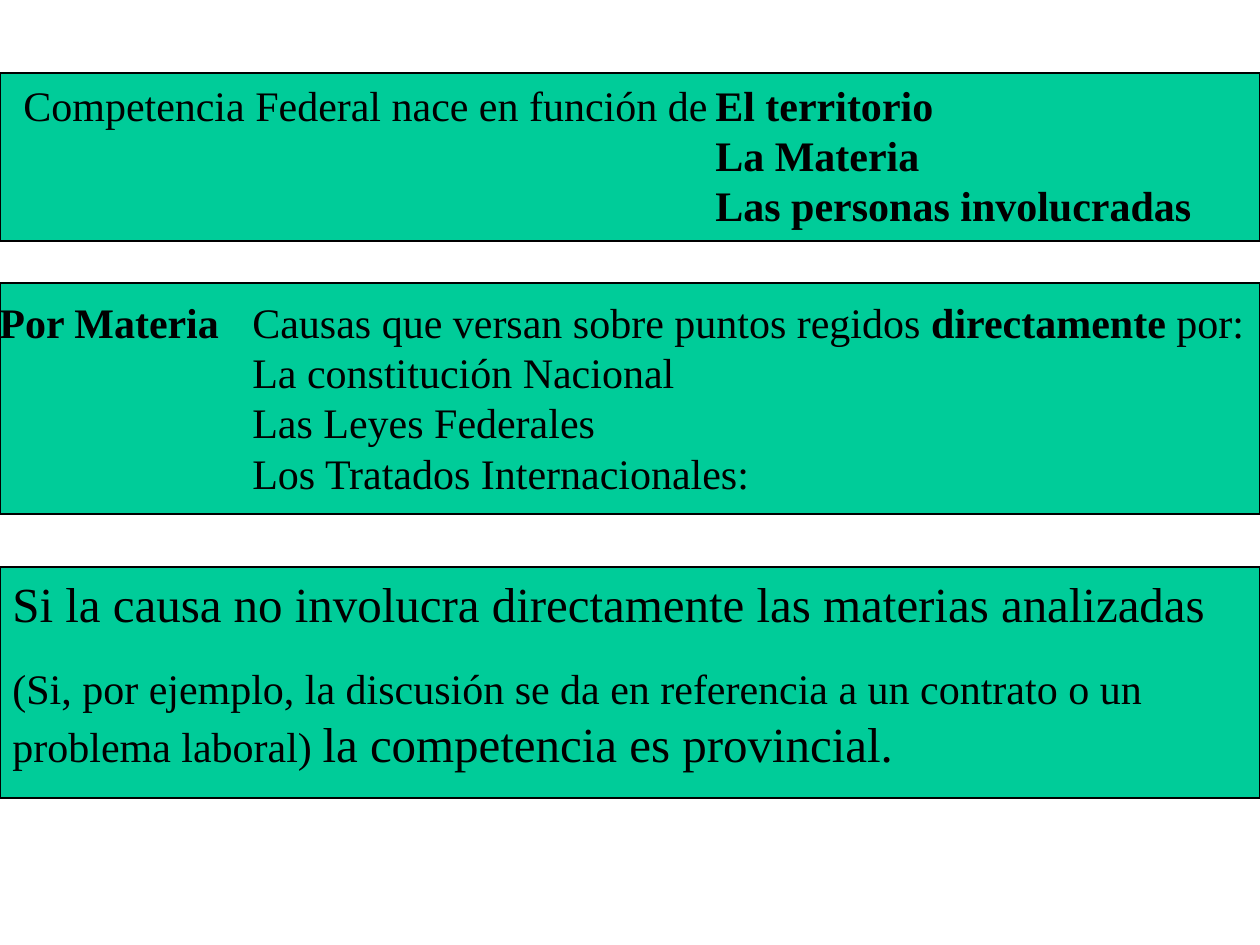
import pptx
import pptx.dml.color
import pptx.enum.shapes
import pptx.enum.text
import pptx.util
from dataclasses import dataclass

PX = pptx.util.Inches(1) / 126
PAGE_WIDTH, PAGE_HEIGHT = 1260, 945


def px(length):
    return pptx.util.Emu(round(length * PX))


def color(value):
    return pptx.dml.color.RGBColor.from_string(value)


@dataclass(frozen=True)
class Theme:
    font: str = "Times New Roman"
    ink: str = "000000"
    panel: str = "00CC99"
    body: int = 24
    large: int = 28
    outline: float = 0.75
    paragraph_gap: float = 17.5


def add_span(para, text, *, theme, size, bold=False):
    span = para.add_run()
    span.text = text
    span.font.name = theme.font
    span.font.size = pptx.util.Pt(size)
    span.font.bold = bold
    span.font.color.rgb = color(theme.ink)


class SlideBuilder:
    def __init__(self, page, theme):
        self.page = page
        self.theme = theme

    def panel(self, top, height):
        """Add a bordered band across the full page width."""
        shape = self.page.shapes.add_shape(
            pptx.enum.shapes.MSO_SHAPE.RECTANGLE,
            px(0), px(top), px(PAGE_WIDTH), px(height))
        shape.shadow.inherit = False
        shape.fill.solid()
        shape.fill.fore_color.rgb = color(self.theme.panel)
        shape.line.color.rgb = color(self.theme.ink)
        shape.line.width = pptx.util.Pt(self.theme.outline)

    def text(self, left, top, width, height, paragraphs, wrap=False, gap=0):
        """Add paragraphs, each a list of (text, format) spans."""
        box = self.page.shapes.add_textbox(px(left), px(top), px(width), px(height))
        frame = box.text_frame
        frame.word_wrap = wrap
        frame.auto_size = pptx.enum.text.MSO_AUTO_SIZE.SHAPE_TO_FIT_TEXT
        for index, spans in enumerate(paragraphs):
            para = frame.add_paragraph() if index else frame.paragraphs[0]
            if index and gap:
                para.space_before = pptx.util.Pt(gap)
            for text, style in spans:
                add_span(para, text, theme=self.theme, **style)


def main():
    deck = pptx.Presentation()
    deck.slide_width, deck.slide_height = px(PAGE_WIDTH), px(PAGE_HEIGHT)
    page = deck.slides.add_slide(deck.slide_layouts[6])
    theme = Theme()
    builder = SlideBuilder(page, theme)
    body = {"size": theme.body}
    strong = {"size": theme.body, "bold": True}
    large = {"size": theme.large}

    for top, height in ((567, 231), (283, 231), (73, 168)):
        builder.panel(top, height)

    factors = ("El territorio", "La Materia", "Las personas involucradas")
    builder.text(703, 73, 501, 164, [[(factor, strong)] for factor in factors])
    builder.text(11, 73, 720, 63,
                 [[("Competencia Federal nace en función de", body)]])

    builder.text(-13, 290, 246, 63, [[("Por Materia", strong)]])
    sources = ("La constitución Nacional", "Las Leyes Federales",
               "Los Tratados Internacionales:")
    builder.text(240, 290, 1018, 214, [
        [("Causas que versan sobre puntos regidos ", body),
         ("directamente", strong), (" por:", body)],
        *[[(source, body)] for source in sources],
    ])

    builder.text(0, 567, PAGE_WIDTH, 212, [
        [("Si la causa no involucra directamente las materias analizadas", large)],
        [("(Si, por ejemplo, la discusión se da en referencia a un contrato "
          "o un problema laboral) ", body),
         ("la competencia es provincial.", large)],
    ], wrap=True, gap=theme.paragraph_gap)

    deck.save("out.pptx")


if __name__ == "__main__":
    main()
